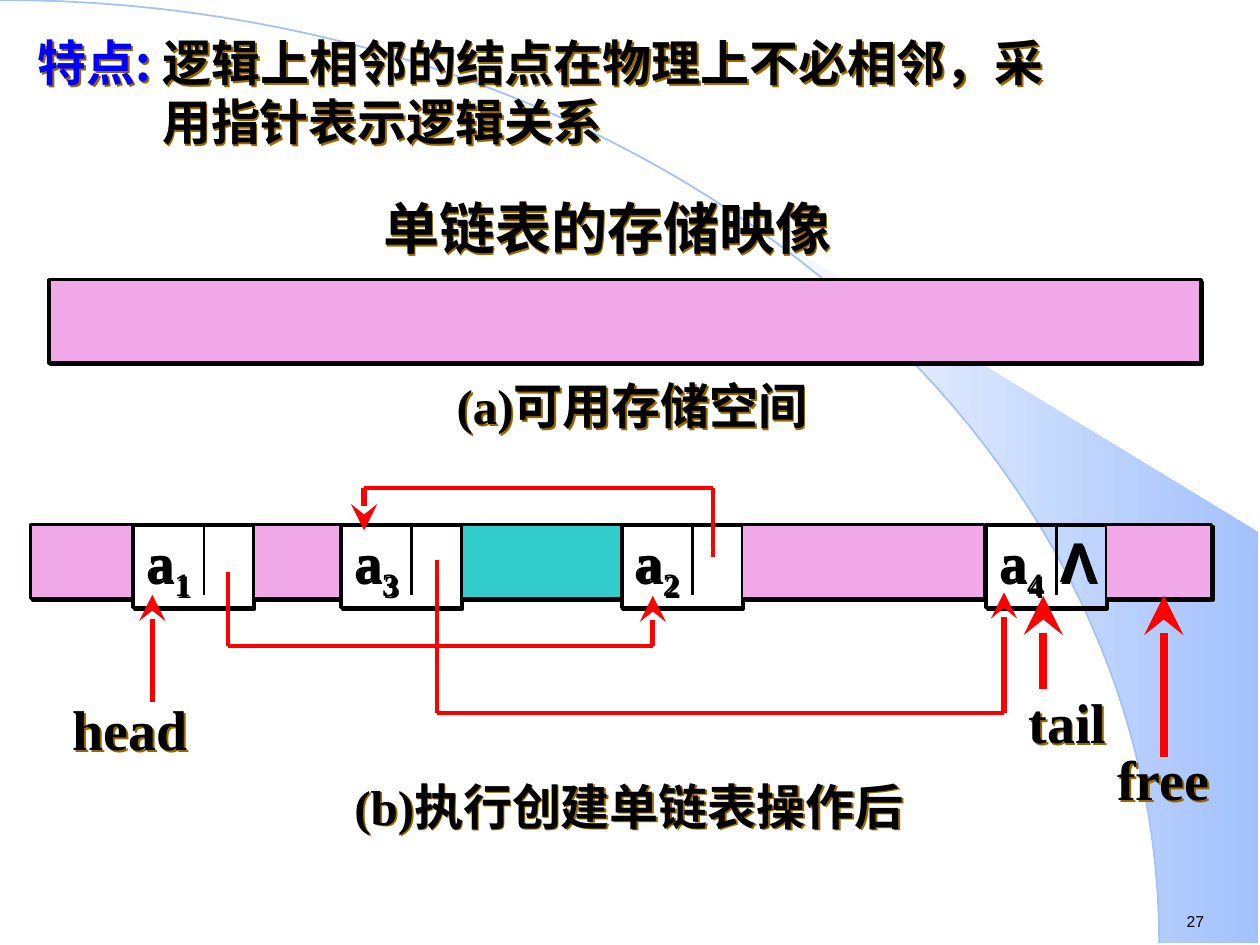
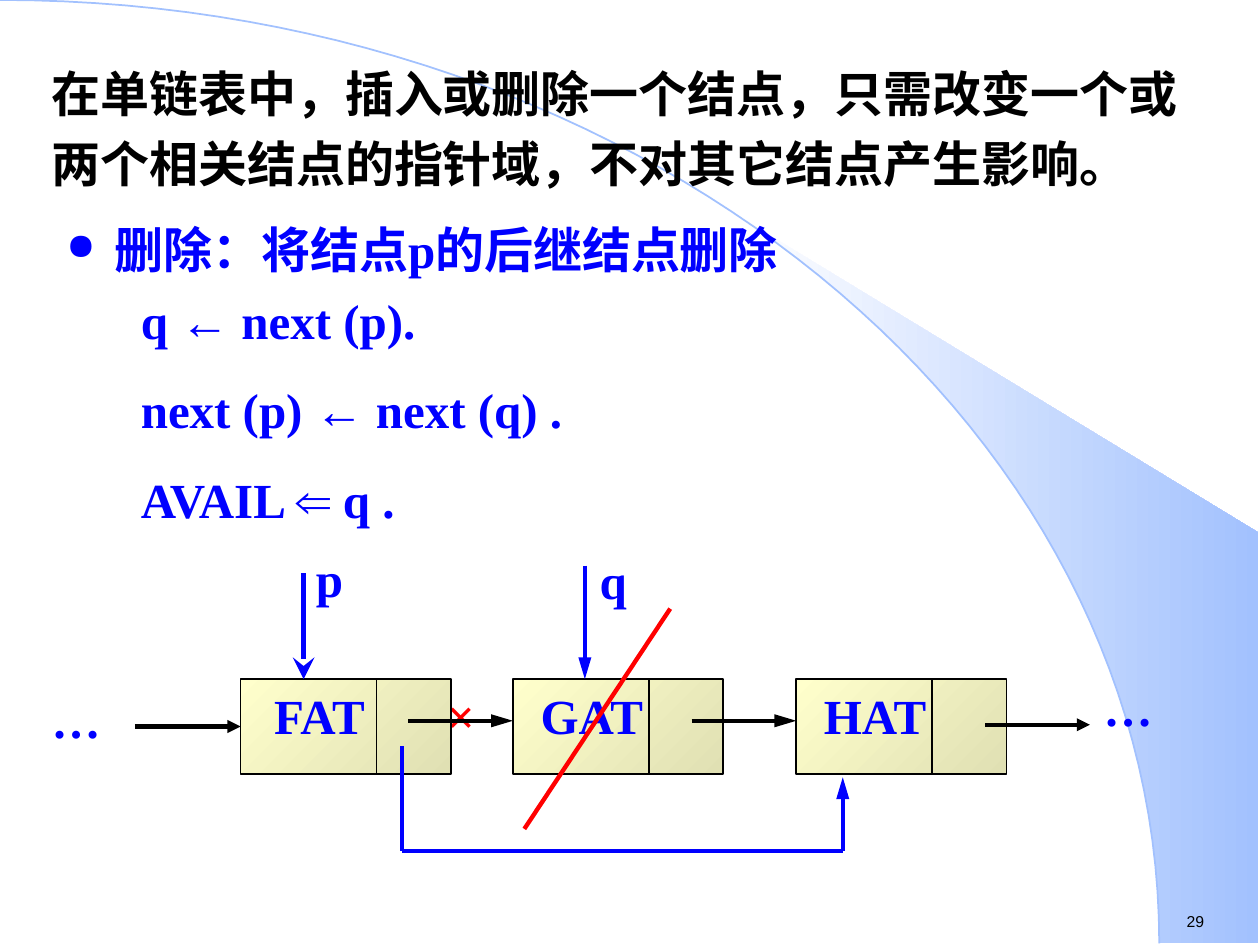
from dataclasses import dataclass
from itertools import pairwise

from lxml import etree
from pptx import Presentation
from pptx import util as u
from pptx.dml.color import RGBColor
from pptx.enum import shapes, text
from pptx.oxml.ns import qn

BLACK, BLUE, RED = "000000", "0000FF", "FF0000"
PINK, TEAL, SKY, BROWN = "F1A9EA", "33CCCC", "A2C1FE", "996600"
CREAM, KHAKI, WHITE = "FFFFCC", "E0E0B3", "FFFFFF"
SERIF, SANS, CHINESE = "Times New Roman", "Arial", "Noto Sans CJK SC"
LEFT, CENTER = text.PP_ALIGN.LEFT, text.PP_ALIGN.CENTER
PADDED = (0.25, 0.13, 0.25, 0.13)
TIGHT = (0, 0, 0, 0.13)


@dataclass(frozen=True)
class Box:
    left: float
    top: float
    width: float
    height: float

    def lengths(self) -> list:
        return [u.Cm(v) for v in (self.left, self.top, self.width, self.height)]


@dataclass(frozen=True)
class Run:
    text: str
    color: str | None = None
    font: str | None = None
    subscript: bool = False


@dataclass(frozen=True)
class Style:
    size: float = 28
    color: str = BLACK
    font: str = SERIF
    bold: bool = True
    align: text.PP_ALIGN = LEFT
    margins: tuple = PADDED
    wrap: bool = True
    line_spacing: float | None = None
    gap: float = 0
    hanging: float = 0
    bullet: str | None = None
    shadow: str | None = None


@dataclass(frozen=True)
class Arrow:
    kind: str = "triangle"
    width: str = "med"
    length: str = "med"


STEALTH = Arrow("stealth", "lg", "lg")
LONG = Arrow(length="lg")
SHORT = Arrow()


def rgb(value: str) -> RGBColor:
    return RGBColor.from_string(value)


def add_shadow(shape, color: str) -> None:
    effects = etree.SubElement(shape._element.spPr, qn("a:effectLst"))
    shadow = etree.SubElement(effects, qn("a:outerShdw"), dist=str(u.Pt(1.4)),
                              dir="2700000", algn="ctr", rotWithShape="0")
    etree.SubElement(shadow, qn("a:srgbClr"), val=color)


def set_gradient(shape, first: str, last: str, angle: float) -> None:
    shape.fill.gradient()
    shape.fill.gradient_angle = angle
    for stop, color in zip(shape.fill.gradient_stops, (first, last)):
        stop.color.rgb = rgb(color)


def add_bullet(paragraph, style: Style) -> None:
    properties = paragraph._p.get_or_add_pPr()
    color = etree.SubElement(properties, qn("a:buClr"))
    etree.SubElement(color, qn("a:srgbClr"), val=style.color)
    etree.SubElement(properties, qn("a:buSzPct"), val="75000")
    etree.SubElement(properties, qn("a:buChar"), char=style.bullet)


def write(shape, lines: list[list[Run]], style: Style) -> None:
    frame = shape.text_frame
    frame.word_wrap = style.wrap
    frame.vertical_anchor = text.MSO_ANCHOR.TOP
    (frame.margin_left, frame.margin_top,
     frame.margin_right, frame.margin_bottom) = map(u.Cm, style.margins)
    for index, line in enumerate(lines):
        paragraph = frame.add_paragraph() if index else frame.paragraphs[0]
        paragraph.alignment = style.align
        if style.hanging:
            properties = paragraph._p.get_or_add_pPr()
            properties.set("marL", str(u.Cm(style.hanging)))
            properties.set("indent", str(-u.Cm(style.hanging)))
        if style.bullet:
            add_bullet(paragraph, style)
        if style.line_spacing:
            paragraph.line_spacing = style.line_spacing
        if index and style.gap:
            paragraph.space_before = u.Pt(style.gap)
        for part in line:
            run = paragraph.add_run()
            run.text = part.text
            font = run.font
            font.size, font.bold = u.Pt(style.size), style.bold
            font.color.rgb = rgb(part.color or style.color)
            font.name = part.font or style.font
            east_asian = etree.Element(qn("a:ea"), typeface=CHINESE)
            font._element.find(qn("a:latin")).addnext(east_asian)
            if part.subscript:
                font._element.set("baseline", "-25000")


def add_text(slide, box: Box, content: str | list[list[Run]], style: Style):
    shape = slide.shapes.add_textbox(*box.lengths())
    if style.shadow:
        add_shadow(shape, style.shadow)
    write(shape, [[Run(content)]] if isinstance(content, str) else content, style)
    return shape


def add_rectangle(slide, box: Box, line_width: float, fill: str | None = None):
    shape = slide.shapes.add_shape(shapes.MSO_SHAPE.RECTANGLE, *box.lengths())
    shape.line.color.rgb = rgb(BLACK)
    shape.line.width = u.Pt(line_width)
    if fill:
        shape.fill.solid()
        shape.fill.fore_color.rgb = rgb(fill)
    else:
        shape.fill.background()
    return shape


def add_line(slide, start: tuple, end: tuple, color: str, width: float,
             arrow: Arrow | None = None):
    line = slide.shapes.add_connector(
        shapes.MSO_CONNECTOR.STRAIGHT, *map(u.Cm, (*start, *end)))
    line.line.color.rgb = rgb(color)
    line.line.width = u.Pt(width)
    if arrow:
        etree.SubElement(line.line._get_or_add_ln(), qn("a:tailEnd"),
                         type=arrow.kind, w=arrow.width, len=arrow.length)
    etree.SubElement(line._element.spPr, qn("a:effectLst"))
    return line


def add_route(slide, points: list[tuple], color: str, width: float,
              last_width: float, arrow: Arrow) -> None:
    """Draw a bent pointer whose last leg carries the arrowhead."""
    legs = list(pairwise(points))
    for start, end in legs[:-1]:
        add_line(slide, start, end, color, width)
    add_line(slide, *legs[-1], color, last_width, arrow)


def arc_points(first: float, steps: int = 60) -> list[tuple]:
    """Points of the background curve from parameter first to its end."""
    controls = ((0, 0), (12.9, 0), (23.37, 8.51), (23.37, 19.02))
    points = []
    for step in range(steps + 1):
        t = first + (1 - first) * step / steps
        weights = ((1 - t) ** 3, 3 * t * (1 - t) ** 2, 3 * t * t * (1 - t), t ** 3)
        points.append(tuple(sum(w * c[axis] for w, c in zip(weights, controls))
                            for axis in (0, 1)))
    return points


def add_outline(slide, points: list[tuple], close: bool):
    scaled = [(u.Cm(x), u.Cm(y)) for x, y in points]
    builder = slide.shapes.build_freeform(*scaled[0])
    builder.add_line_segments(scaled[1:], close=close)
    shape = builder.convert_to_shape()
    shape.shadow.inherit = False
    return shape


def add_slide(presentation, number: int):
    """Add a blank slide with the fan, the arc and the page number."""
    slide = presentation.slides.add_slide(presentation.slide_layouts[6])
    fan = add_outline(slide, arc_points(0.44) + [(25.37, 19.02), (25.37, 10.74)], True)
    set_gradient(fan, WHITE, SKY, 0)
    fan.line.fill.background()
    arc = add_outline(slide, arc_points(0), False)
    arc.fill.background()
    arc.line.color.rgb = rgb(SKY)
    arc.line.width = u.Pt(1)
    add_text(slide, Box(23.67, 18.26, 1.96, 0.64), str(number),
             Style(size=9, font=SANS, bold=False, wrap=False))
    return slide


def build_storage_slide(presentation) -> None:
    slide = add_slide(presentation, 27)
    caption = Style(align=CENTER, margins=TIGHT, shadow=BROWN)
    label = Style(size=32, align=CENTER, shadow=BROWN)
    free_space = add_rectangle(slide, Box(0.99, 5.64, 23.22, 1.68), 2, PINK)
    add_shadow(free_space, BLACK)
    add_text(slide, Box(8.31, 7.57, 8.86, 1.32), "(a)可用存储空间", caption)

    node_top, node_width = 10.57, 2.44
    node_style = Style(size=32, margins=(0.28, 0.05, 0, 0))
    for left, index in ((2.67, "1"), (6.86, "3"), (12.52, "2"), (19.86, "4")):
        node = add_rectangle(slide, Box(left, node_top, node_width, 1.68), 1.5)
        add_shadow(node, BLACK)
        write(node, [[Run("a"), Run(index, subscript=True)]], node_style)
        divider = left + 1.44
        add_line(slide, (divider, node_top), (divider, node_top + 1.42), BLACK, 1.5)
    add_text(slide, Box(21.36, node_top, 0.95, 1.5), "Λ",
             Style(size=32, font=SANS, margins=(0, 0.05, 0, 0), shadow=BLACK))

    add_line(slide, (3.07, 14.15), (3.07, 11.99), RED, 3, STEALTH)
    for route in (
        [(4.6, 11.53), (4.6, 13.03), (13.16, 13.03), (13.16, 12.01)],
        [(14.38, 11.23), (14.38, 9.83), (7.34, 9.83), (7.34, 10.69)],
        [(8.81, 11.28), (8.81, 14.38), (20.24, 14.38), (20.24, 11.94)],
    ):
        add_route(slide, route, RED, 2.25, 3, STEALTH)
    add_line(slide, (21.03, 13.89), (21.03, 12.01), RED, 4.5, STEALTH)

    for left, width, fill in ((5.11, 1.75, PINK), (22.3, 2.13, PINK),
                              (14.96, 4.88, PINK), (9.3, 3.23, TEAL),
                              (0.61, 2.06, PINK)):
        block = add_rectangle(slide, Box(left, node_top, width, 1.5), 1.5, fill)
        add_shadow(block, BLACK)
    add_line(slide, (23.46, 15.27), (23.46, 12.01), RED, 4.5, STEALTH)

    for box, name in ((Box(1.04, 13.87, 3.18, 1.63), "head"),
                      (Box(20.35, 13.74, 2.34, 1.63), "tail"),
                      (Box(22.05, 14.88, 2.81, 1.63), "free")):
        add_text(slide, box, name, label)
    add_text(slide, Box(6.38, 15.65, 12.6, 1.32), "(b)执行创建单链表操作后", caption)
    add_text(slide, Box(3, 3.78, 18.49, 1.63), "单链表的存储映像", label)
    add_text(slide, Box(0.51, 0.53, 20.9, 2.64),
             [[Run("特点: ", BLUE),
               Run("逻辑上相邻的结点在物理上不必相邻，采用指针表示逻辑关系")]],
             Style(font=CHINESE, hanging=2.51, shadow=BROWN))


def build_deletion_slide(presentation) -> None:
    slide = add_slide(presentation, 29)
    blue = Style(color=BLUE)
    add_text(slide, Box(1.09, 4.42, 16.2, 1.75), "删除：将结点p的后继结点删除",
             Style(color=BLUE, hanging=0.97, bullet="●", line_spacing=0.9))
    add_text(slide, Box(0.79, 0.91, 23.24, 3.1),
             "在单链表中，插入或删除一个结点，只需改变一个或两个相关结点的指针域，"
             "不对其它结点产生影响。", Style(line_spacing=1.2))
    add_text(slide, Box(8.76, 13.69, 1.93, 1.45), "×", Style(color=RED))
    for left, top in ((0.79, 13.72), (22, 13.46)):
        add_text(slide, Box(left, top, 2.11, 1.5), "…",
                 Style(color=BLUE, line_spacing=1.05))

    node_top, node_height = 13.69, 1.91
    nodes = {}
    for name, left in (("FAT", 4.85), ("GAT", 10.34), ("HAT", 16.05)):
        node = add_rectangle(slide, Box(left, node_top, 4.24, node_height), 1)
        node.shadow.inherit = False
        set_gradient(node, CREAM, KHAKI, 315)
        nodes[name] = node
        divider = left + 2.74
        add_line(slide, (divider, node_top), (divider, node_top + node_height), BLACK, 1)
        add_text(slide, Box(left + 0.22, node_top, 2.74, 1.45), name,
                 Style(color=BLUE, align=CENTER))

    middle = node_top + node_height / 2
    entry = add_line(slide, (2.72, middle), (4.85, middle), BLACK, 2.5, SHORT)
    entry.end_connect(nodes["FAT"], 1)
    for left, y, arrow in ((8.23, 14.53, LONG), (13.94, 14.53, LONG), (19.86, 14.61, SHORT)):
        add_line(slide, (left, y), (left + 2.11, y), BLACK, 2.5, arrow)

    add_line(slide, (6.12, 11.56), (6.12, node_top), BLUE, 2.5, STEALTH)
    add_line(slide, (11.79, 11.4), (11.79, node_top), BLUE, 2.5, LONG)
    add_text(slide, Box(6.12, 10.92, 1.27, 1.45), "p", blue)
    add_text(slide, Box(11.84, 10.97, 1.27, 1.45), "q", blue)
    add_route(slide, [(8.1, 15.04), (8.1, 17.15), (16.99, 17.15), (16.99, 15.67)],
              BLUE, 2.5, 2.5, LONG)
    add_line(slide, (13.51, 12.27), (10.57, 16.71), RED, 2.5)

    steps = (("q ", "←", " next (p)."), ("next (p) ", "←", " next (q) ."),
             ("AVAIL ", "⇐", " q ."))
    add_text(slide, Box(2.59, 5.72, 15.8, 5.05),
             [[Run(target), Run(sign, font=SANS), Run(value)]
              for target, sign, value in steps], Style(color=BLUE, gap=17.5))


def main() -> None:
    presentation = Presentation()
    presentation.slide_width, presentation.slide_height = u.Cm(25.4), u.Cm(19.05)
    build_storage_slide(presentation)
    build_deletion_slide(presentation)
    presentation.save("out.pptx")


if __name__ == "__main__":
    main()
